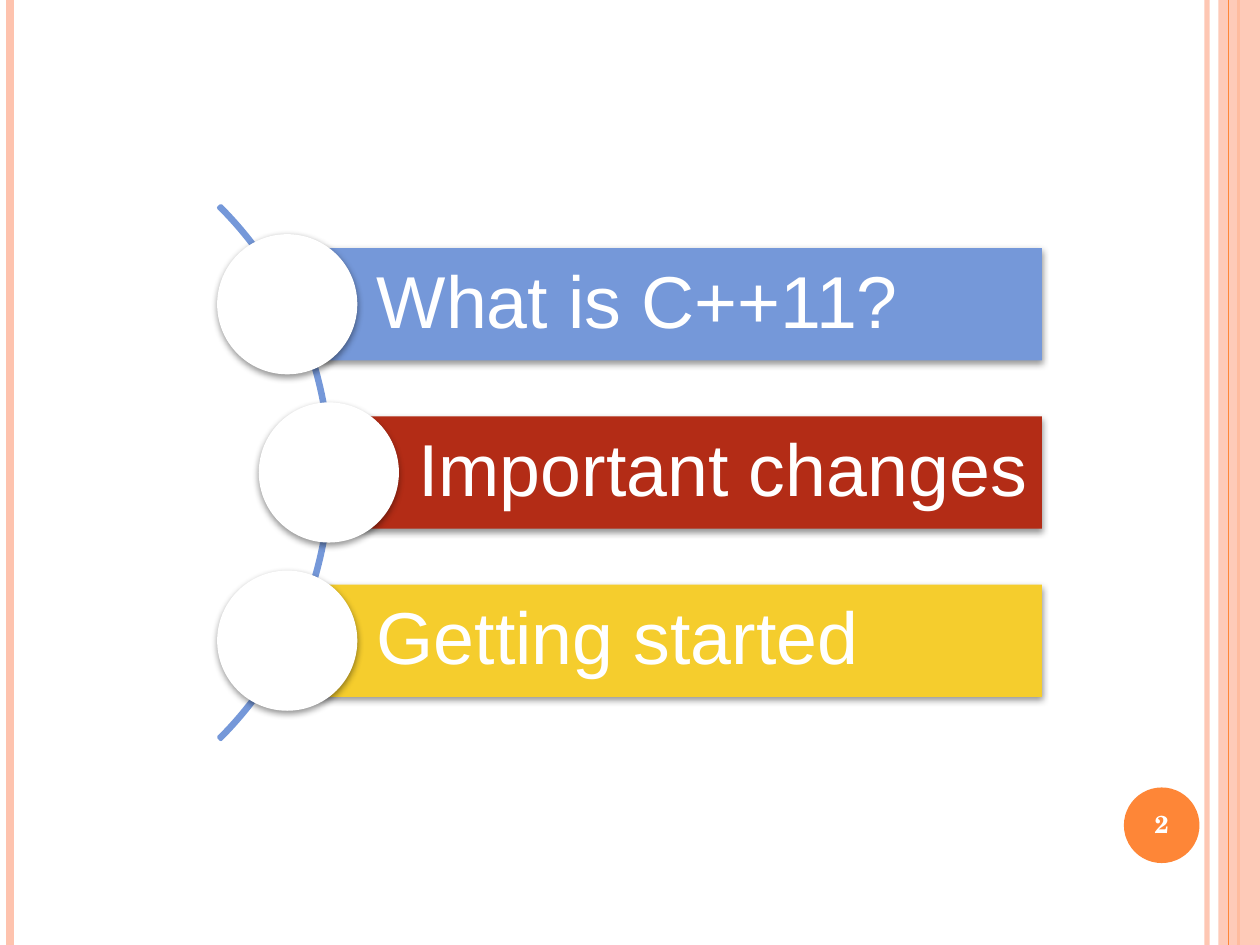
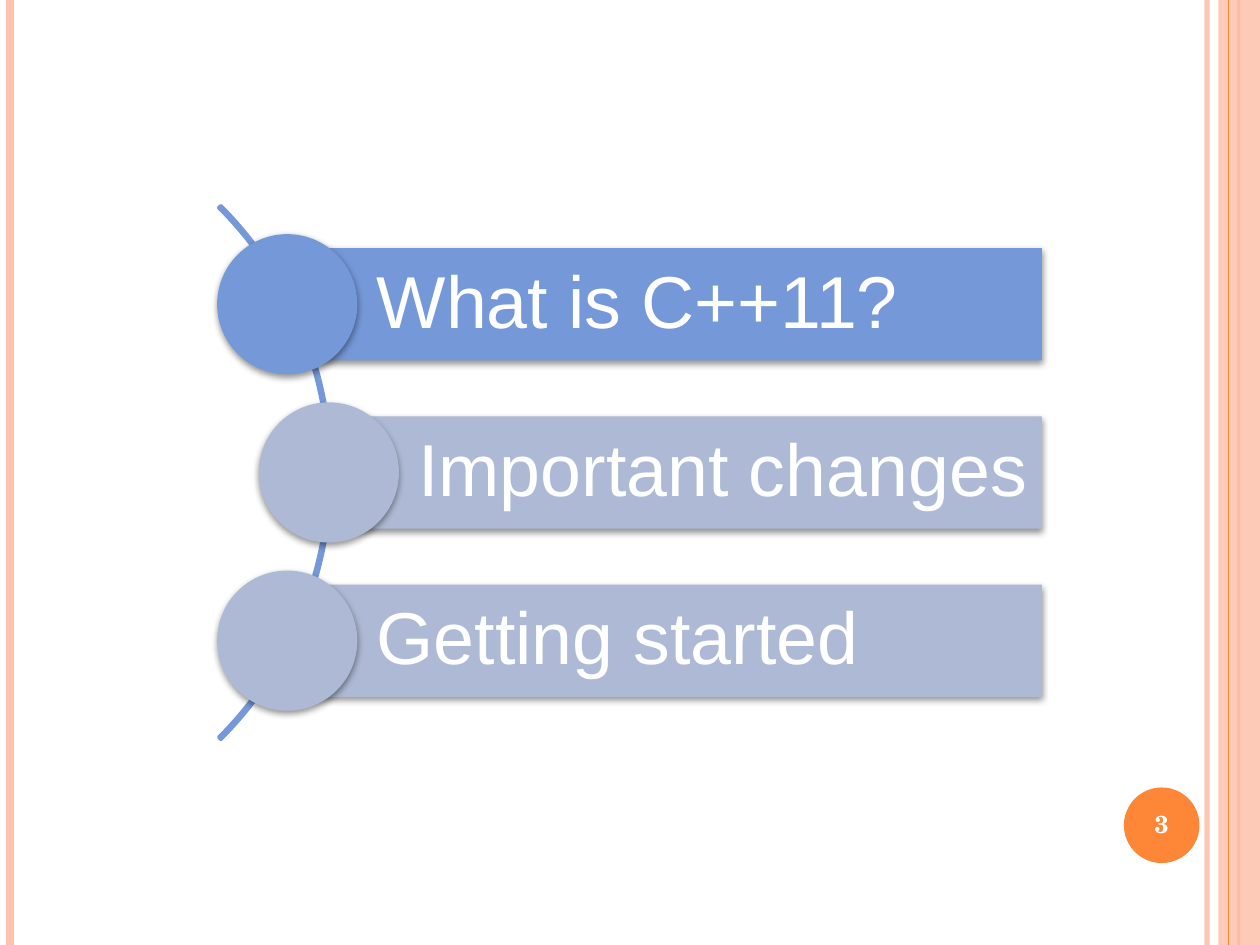
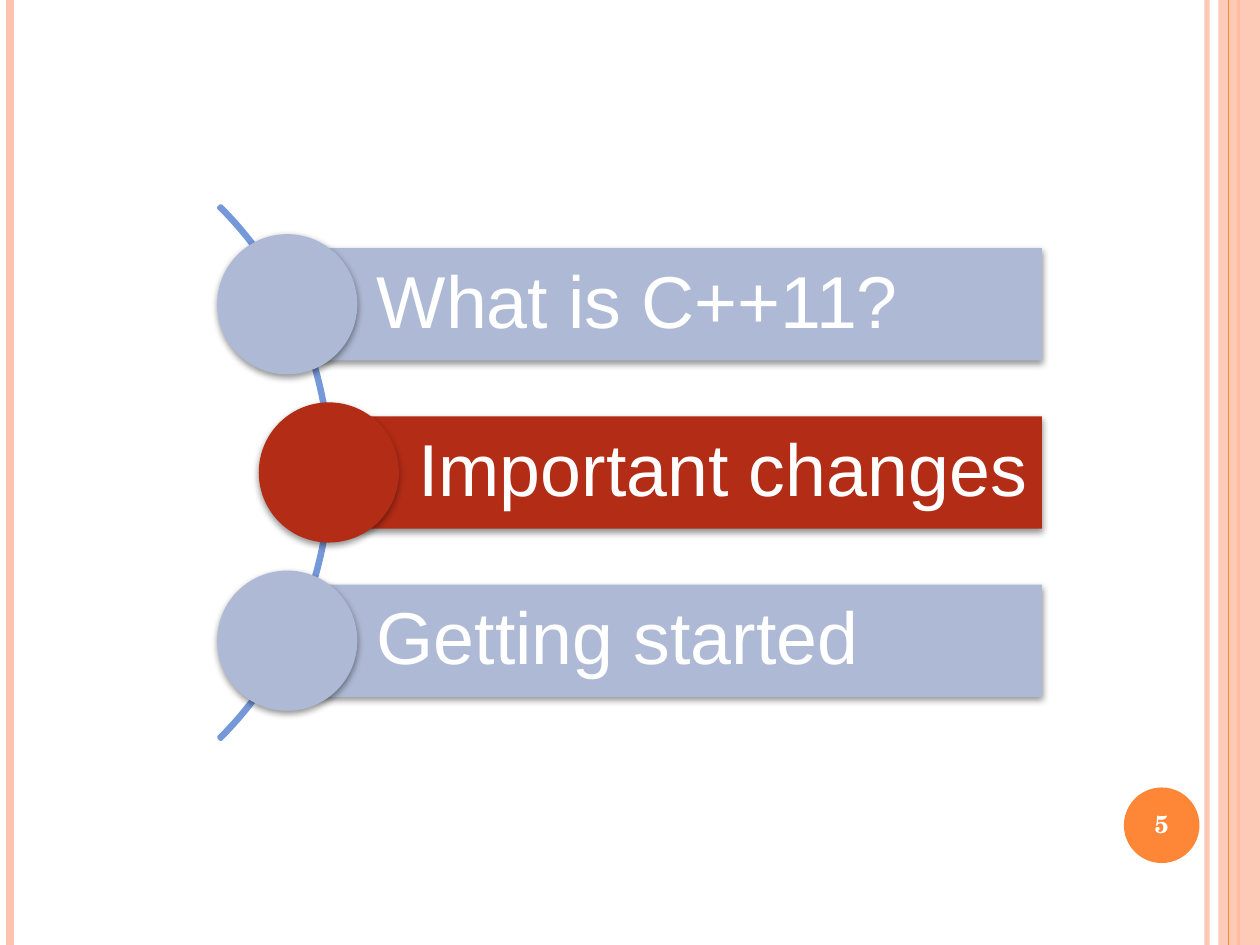
from dataclasses import dataclass

from lxml.etree import SubElement
from pptx import Presentation
from pptx.dml.color import RGBColor
from pptx.enum.shapes import MSO_CONNECTOR as Connector, MSO_SHAPE as Preset
from pptx.enum.text import MSO_ANCHOR as Anchor, PP_ALIGN as Align
from pptx.oxml.ns import qn
from pptx.shapes.autoshape import Shape
from pptx.slide import Slide
from pptx.util import Inches, Pt

WHITE = RGBColor(0xFF, 0xFF, 0xFF)
BLACK = RGBColor(0x00, 0x00, 0x00)
PEACH = RGBColor(0xFE, 0xC3, 0xAE)
ORANGE = RGBColor(0xFE, 0x86, 0x37)
BLUE = RGBColor(0x75, 0x98, 0xD9)
RED = RGBColor(0xB3, 0x2C, 0x16)
YELLOW = RGBColor(0xF5, 0xCD, 0x2D)
MUTED = RGBColor(0xAE, 0xBA, 0xD5)

TOPIC_FONT = "Arial"
NUMBER_FONT = "TeX Gyre Schola"

SLIDE_WIDTH = Inches(10)
SLIDE_HEIGHT = Inches(7.5)
MIDDLE = SLIDE_HEIGHT // 2
BAR_HEIGHT = Inches(0.89)
BAR_RIGHT = Inches(8.27)
PITCH = int(BAR_HEIGHT * 1.5)
BULLET_SIZE = int(BAR_HEIGHT * 1.25)
ARC_SIZE = Inches(5.99)


@dataclass(frozen=True)
class Stripe:
    """A vertical line of the slide frame."""

    x: float
    color: RGBColor
    weight: float
    opacity: int = 100


@dataclass(frozen=True)
class Topic:
    """One agenda entry and the centre of its bullet."""

    title: str
    color: RGBColor
    center_x: float


@dataclass(frozen=True)
class Agenda:
    """One agenda slide: its number and the topic in focus, if any."""

    number: int
    focus: int | None = None


STRIPES_BELOW = (
    Stripe(9.58, PEACH, 3, 93),
    Stripe(0.08, PEACH, 4.5),
    Stripe(9.83, ORANGE, 1.5),
)
STRIPE_ABOVE = Stripe(9.75, ORANGE, 0.75)
TOPICS = (
    Topic("What is C++11?", BLUE, 2.28),
    Topic("Important changes", RED, 2.61),
    Topic("Getting started", YELLOW, 2.28),
)
AGENDAS = (Agenda(2), Agenda(3, focus=0), Agenda(5, focus=1))


def set_opacity(shape_properties, percent: int) -> None:
    """Set the opacity of the first solid colour."""
    color = shape_properties.find(f".//{qn('a:srgbClr')}")
    SubElement(color, qn("a:alpha"), val=str(percent * 1000))


def add_stripe(slide: Slide, stripe: Stripe) -> None:
    """Draw a full-height line."""
    x = Inches(stripe.x)
    line = slide.shapes.add_connector(Connector.STRAIGHT, x, 0, x, SLIDE_HEIGHT)
    line.line.color.rgb = stripe.color
    line.line.width = Pt(stripe.weight)
    properties = line._element.spPr
    if stripe.opacity < 100:
        set_opacity(properties, stripe.opacity)
    SubElement(properties, qn("a:effectLst"))


def add_filled(slide: Slide, preset: Preset, left: int, top: int,
               width: int, height: int, color: RGBColor) -> Shape:
    """Draw a flat shape without an outline."""
    shape = slide.shapes.add_shape(preset, left, top, width, height)
    shape.shadow.inherit = False
    shape.fill.solid()
    shape.fill.fore_color.rgb = color
    shape.line.fill.background()
    return shape


def add_shadow(shape: Shape) -> None:
    """Give a shape a soft shadow straight below it."""
    effects = shape._element.spPr.find(qn("a:effectLst"))
    shadow = SubElement(effects, qn("a:outerShdw"), blurRad=str(Pt(4)),
                        dist=str(Pt(1.6)), dir="5400000", rotWithShape="0")
    color = SubElement(shadow, qn("a:srgbClr"), val=str(BLACK))
    SubElement(color, qn("a:alpha"), val="42000")


def write(shape: Shape, text: str, font: str, size: float, align: Align,
          left_inset: float = 0, right_inset: float = 0, bold: bool = False) -> None:
    """Put one line of white text in a shape."""
    frame = shape.text_frame
    frame.text = text
    frame.word_wrap = True
    frame.vertical_anchor = Anchor.MIDDLE
    frame.margin_left, frame.margin_right = Inches(left_inset), Inches(right_inset)
    frame.margin_top = frame.margin_bottom = 0
    paragraph = frame.paragraphs[0]
    paragraph.alignment = align
    paragraph.line_spacing = 0.9
    style = paragraph.runs[0].font
    style.name, style.size, style.bold = font, Pt(size), bold
    style.color.rgb = WHITE


def add_frame(slide: Slide, number: int) -> None:
    """Draw the stripes, side band and number badge."""
    for stripe in STRIPES_BELOW:
        add_stripe(slide, stripe)
    band_width = Inches(0.33)
    band = add_filled(slide, Preset.RECTANGLE, SLIDE_WIDTH - band_width, 0,
                      band_width, SLIDE_HEIGHT, PEACH)
    set_opacity(band._element.spPr, 87)
    add_stripe(slide, STRIPE_ABOVE)
    badge = add_filled(slide, Preset.OVAL, Inches(8.92), Inches(6.25),
                       Inches(0.6), Inches(0.6), ORANGE)
    write(badge, str(number), NUMBER_FONT, 14, Align.CENTER, bold=True)


def add_arc(slide: Slide) -> None:
    """Draw the thin arc that links the bullets."""
    arc = slide.shapes.add_shape(Preset.BLOCK_ARC, Inches(-3.36),
                                 MIDDLE - ARC_SIZE // 2, ARC_SIZE, ARC_SIZE)
    arc.adjustments[0] = 189
    arc.adjustments[1] = 27
    arc.adjustments[2] = 0.004
    arc.shadow.inherit = False
    arc.fill.background()
    arc.line.color.rgb = BLUE
    arc.line.width = Pt(2)


def add_topic(slide: Slide, topic: Topic, center_y: int,
              bar_color: RGBColor, bullet_color: RGBColor) -> None:
    """Draw a topic bar with its round bullet."""
    center_x = Inches(topic.center_x)
    bar = add_filled(slide, Preset.RECTANGLE, center_x, center_y - BAR_HEIGHT // 2,
                     BAR_RIGHT - center_x, BAR_HEIGHT, bar_color)
    write(bar, topic.title, TOPIC_FONT, 42, Align.LEFT, 0.71, 0.05)
    radius = BULLET_SIZE // 2
    bullet = add_filled(slide, Preset.OVAL, center_x - radius, center_y - radius,
                        BULLET_SIZE, BULLET_SIZE, bullet_color)
    add_shadow(bar)
    add_shadow(bullet)


def add_agenda(slide: Slide, agenda: Agenda) -> None:
    """Draw one agenda slide."""
    add_frame(slide, agenda.number)
    add_arc(slide)
    for index, topic in enumerate(TOPICS):
        overview = agenda.focus is None
        bar_color = topic.color if overview or index == agenda.focus else MUTED
        bullet_color = WHITE if overview else bar_color
        add_topic(slide, topic, MIDDLE + (index - 1) * PITCH, bar_color, bullet_color)


def main() -> None:
    """Build and save the presentation."""
    deck = Presentation()
    deck.slide_width, deck.slide_height = SLIDE_WIDTH, SLIDE_HEIGHT
    for agenda in AGENDAS:
        add_agenda(deck.slides.add_slide(deck.slide_layouts[6]), agenda)
    deck.save("out.pptx")


if __name__ == "__main__":
    main()
